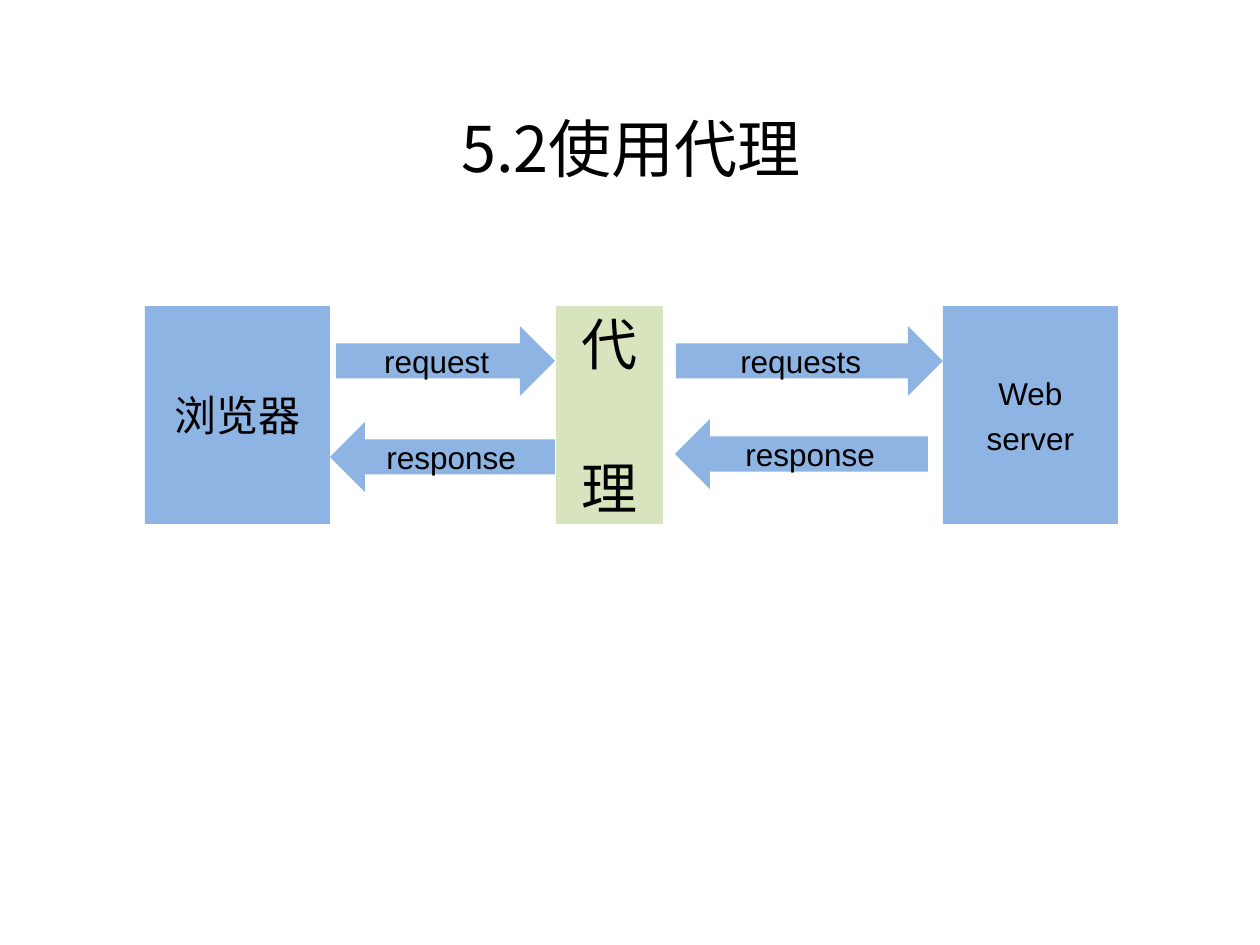
from lxml.etree import SubElement
from pptx import Presentation
from pptx.dml.color import RGBColor
from pptx.enum.shapes import MSO_SHAPE
from pptx.enum.text import MSO_ANCHOR, MSO_AUTO_SIZE, PP_ALIGN
from pptx.oxml.ns import qn
from pptx.util import Emu, Pt

COLORS = {"blue": "8EB4E3", "green": "D7E4BD", "text": "000000"}
CJK = "Noto Sans CJK JP"
BOX_TOP, BOX_HEIGHT, ARROW_HEIGHT = 306, 218, 70


def px(*lengths):
    return [Emu(round(length * 914400 / 126)) for length in lengths]


def write(shape, lines, size, font, anchor, gap=0):
    frame = shape.text_frame
    frame_format = {"word_wrap": True, "auto_size": MSO_AUTO_SIZE.NONE,
                    "vertical_anchor": anchor}
    for key, value in frame_format.items():
        setattr(frame, key, value)
    for index, line in enumerate(lines):
        paragraph = frame.paragraphs[0] if index == 0 else frame.add_paragraph()
        paragraph.alignment = PP_ALIGN.CENTER
        paragraph.space_before = Pt(gap if index else 0)
        run = paragraph.add_run()
        run.text = line
        for key, value in {"size": Pt(size), "name": font, "bold": False}.items():
            setattr(run.font, key, value)
        run.font.color.rgb = RGBColor.from_string(COLORS["text"])
        SubElement(run.font._element, qn("a:ea")).set("typeface", CJK)


presentation = Presentation()
presentation.slide_width, presentation.slide_height = px(1260, 945)
slide = presentation.slides.add_slide(presentation.slide_layouts[5])

title = slide.shapes.title
title.left, title.top, title.width, title.height = px(64, 108, 1134, 83)
write(title, ["5.2使用代理"], 36, CJK, MSO_ANCHOR.BOTTOM)

box, right, left = MSO_SHAPE.RECTANGLE, MSO_SHAPE.RIGHT_ARROW, MSO_SHAPE.LEFT_ARROW
parts = [
    (box, 145, BOX_TOP, 185, BOX_HEIGHT, "blue", ["浏览器"], 24, 0),
    (box, 943, BOX_TOP, 175, BOX_HEIGHT, "blue", ["Web", "server"], 18, 4),
    (right, 336, 326, 219, ARROW_HEIGHT, "blue", ["request"], 18, 0),
    (box, 556, BOX_TOP, 107, BOX_HEIGHT, "green", ["代", "理"], 32, 44),
    (right, 676, 326, 267, ARROW_HEIGHT, "blue", ["requests"], 18, 0),
    (left, 330, 422, 225, ARROW_HEIGHT, "blue", ["response"], 18, 0),
    (left, 675, 419, 253, ARROW_HEIGHT, "blue", ["response"], 18, 0),
]
for kind, x, y, width, height, color, lines, size, gap in parts:
    part = slide.shapes.add_shape(kind, *px(x, y, width, height))
    part.shadow.inherit = False
    part.fill.solid()
    part.fill.fore_color.rgb = RGBColor.from_string(COLORS[color])
    part.line.fill.background()
    write(part, lines, size, "Arial", MSO_ANCHOR.MIDDLE, gap)

presentation.save("out.pptx")
